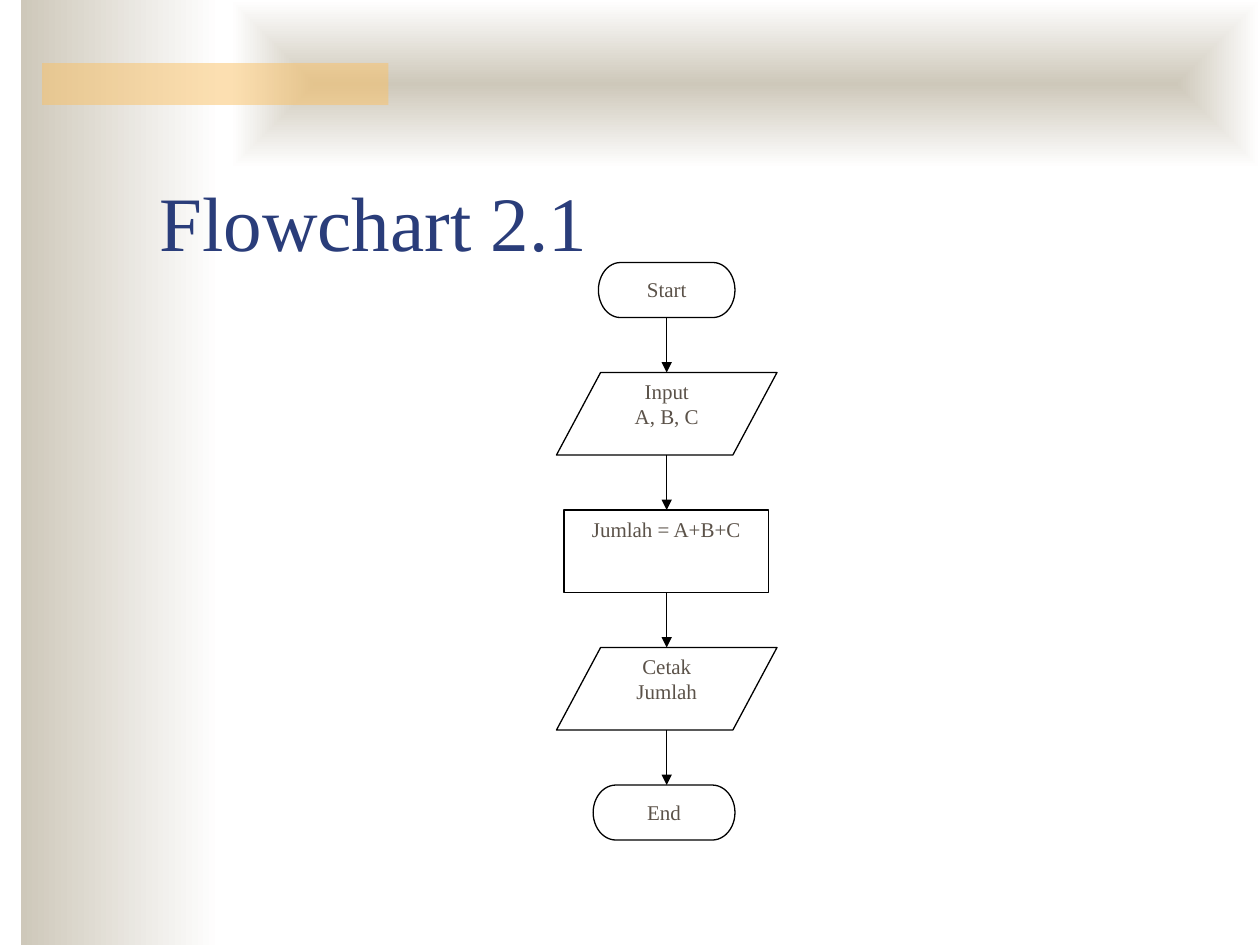
from lxml import etree
from pptx import Presentation
from pptx.dml.color import RGBColor
from pptx.enum.shapes import MSO_CONNECTOR, MSO_SHAPE
from pptx.enum.text import MSO_ANCHOR, MSO_AUTO_SIZE, PP_ALIGN
from pptx.oxml.ns import qn
from pptx.util import Pt

TERMINATOR = MSO_SHAPE.FLOWCHART_TERMINATOR
DATA = MSO_SHAPE.FLOWCHART_DATA
PROCESS = MSO_SHAPE.FLOWCHART_PROCESS
RECTANGLE = MSO_SHAPE.RECTANGLE

COLORS = {"stone": "CEC8BA", "white": "FFFFFF", "amber": "FAC164",
          "title": "2A3D7A", "text": "5B5249", "line": "000000"}
FONT = "Times New Roman"

TITLE = "Flowchart 2.1"
# text, outline, left, width, height in units
STEPS = [
    ("Start", TERMINATOR, 342, 78, 2),
    ("Input\nA, B, C", DATA, 318, 126, 3),
    ("Jumlah = A+B+C", PROCESS, 322.25, 117, 3),
    ("Cetak\nJumlah", DATA, 318, 126, 3),
    ("End", TERMINATOR, 339, 81, 2),
]
AXIS_X = 381
FLOW_TOP, FLOW_HEIGHT = 150, 330
GAP_UNITS = 2
UNIT = FLOW_HEIGHT / (sum(step[4] for step in STEPS) + GAP_UNITS * (len(STEPS) - 1))


def rgb(name):
    """Return the named colour."""
    return RGBColor.from_string(COLORS[name])


def style_text(frame, size, color, align):
    """Format every paragraph and run of a text frame."""
    for paragraph in frame.paragraphs:
        paragraph.alignment = align
        for run in paragraph.runs:
            run.font.name = FONT
            run.font.size = Pt(size)
            run.font.color.rgb = rgb(color)


def add_block(slide, outline, left, top, width, height):
    """Add a shape with neither shadow nor line."""
    block = slide.shapes.add_shape(outline, Pt(left), Pt(top), Pt(width), Pt(height))
    block.shadow.inherit = False
    block.line.fill.background()
    return block


def fade(block):
    """Fill a block with a stone to white gradient and return its XML."""
    block.fill.gradient()
    block.fill.gradient_angle = 0
    for stop, position, color in zip(block.fill.gradient_stops, (0, 1), ("stone", "white")):
        stop.position = position
        stop.color.rgb = rgb(color)
    return block._element.spPr.find(qn("a:gradFill"))


def add_decor(slide):
    """Add the side band, the top band and the amber bar."""
    fade(add_block(slide, RECTANGLE, 12, 0, 114, 540))

    gradient = fade(add_block(slide, RECTANGLE, 132, 0, 588, 96))
    gradient.remove(gradient.find(qn("a:lin")))
    center = etree.SubElement(gradient, qn("a:path"), {"path": "shape"})
    etree.SubElement(center, qn("a:fillToRect"), dict.fromkeys("ltrb", "50000"))

    bar = add_block(slide, RECTANGLE, 24, 36, 198, 24)
    bar.fill.solid()
    bar.fill.fore_color.rgb = rgb("amber")
    color = bar._element.spPr.find(qn("a:solidFill"))[0]
    etree.SubElement(color, qn("a:alpha"), val="50000")


def place_title(slide):
    """Fill the title and bring it in front of the decoration."""
    title = slide.shapes.title
    title.left, title.top, title.width, title.height = Pt(84), Pt(66), Pt(612), Pt(90)
    frame = title.text_frame
    frame.text = TITLE
    frame.auto_size = MSO_AUTO_SIZE.NONE
    frame.vertical_anchor = MSO_ANCHOR.BOTTOM
    style_text(frame, 44, "title", PP_ALIGN.LEFT)
    slide.shapes._spTree.append(title._element)


def add_step(slide, text, outline, left, top, width, height):
    """Add one flowchart step."""
    step = add_block(slide, outline, left, top, width, height)
    step.fill.solid()
    step.fill.fore_color.rgb = rgb("white")
    step.line.color.rgb = rgb("line")
    step.line.width = Pt(0.75)
    frame = step.text_frame
    frame.text = text
    frame.word_wrap = True
    frame.vertical_anchor = MSO_ANCHOR.TOP
    style_text(frame, 12, "text", PP_ALIGN.CENTER)


def add_arrow(slide, top, bottom):
    """Add an arrow down the flow axis."""
    arrow = slide.shapes.add_connector(
        MSO_CONNECTOR.STRAIGHT, Pt(AXIS_X), Pt(top), Pt(AXIS_X), Pt(bottom))
    arrow.line.color.rgb = rgb("line")
    arrow.line.width = Pt(0.75)
    etree.SubElement(arrow.line._get_or_add_ln(), qn("a:tailEnd"), type="triangle")
    etree.SubElement(arrow._element.spPr, qn("a:effectLst"))


def add_flow(slide):
    """Stack the steps with an arrow in each gap."""
    top = FLOW_TOP
    for index, (text, outline, left, width, units) in enumerate(STEPS):
        if index:
            add_arrow(slide, top, top + GAP_UNITS * UNIT)
            top += GAP_UNITS * UNIT
        add_step(slide, text, outline, left, top, width, units * UNIT)
        top += units * UNIT


presentation = Presentation()
presentation.slide_width, presentation.slide_height = Pt(720), Pt(540)
slide = presentation.slides.add_slide(presentation.slide_layouts[5])
add_decor(slide)
place_title(slide)
add_flow(slide)
presentation.save("out.pptx")
